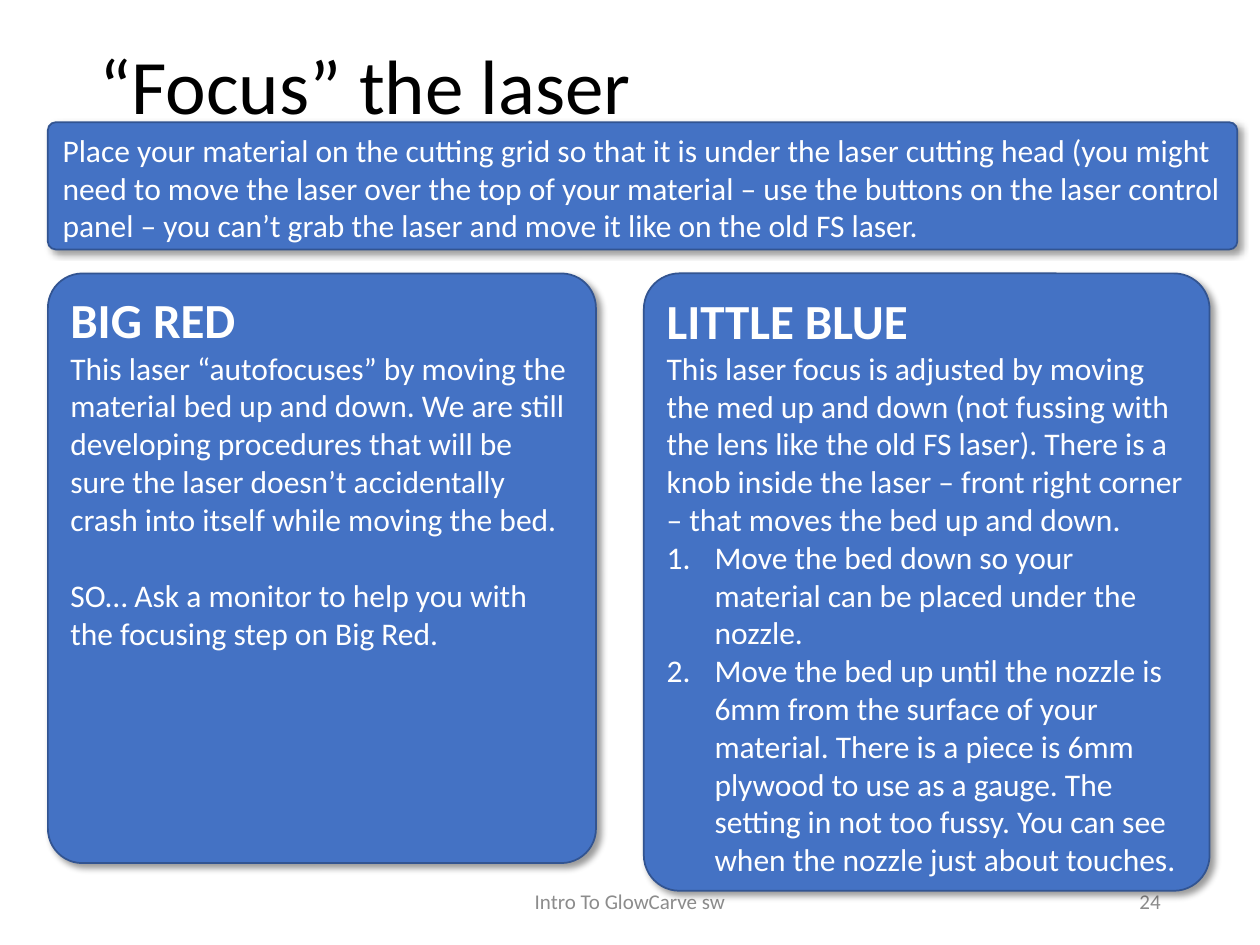
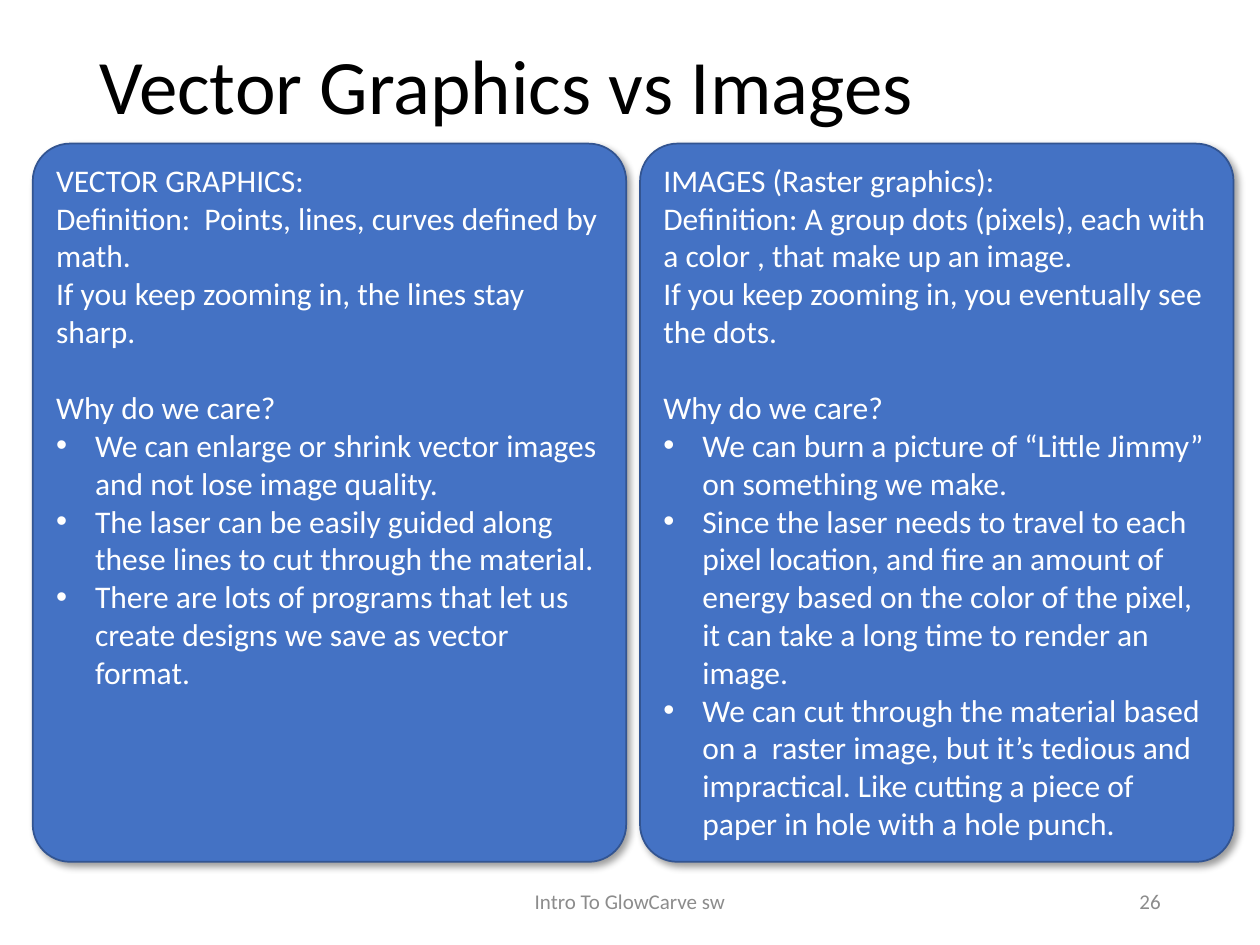
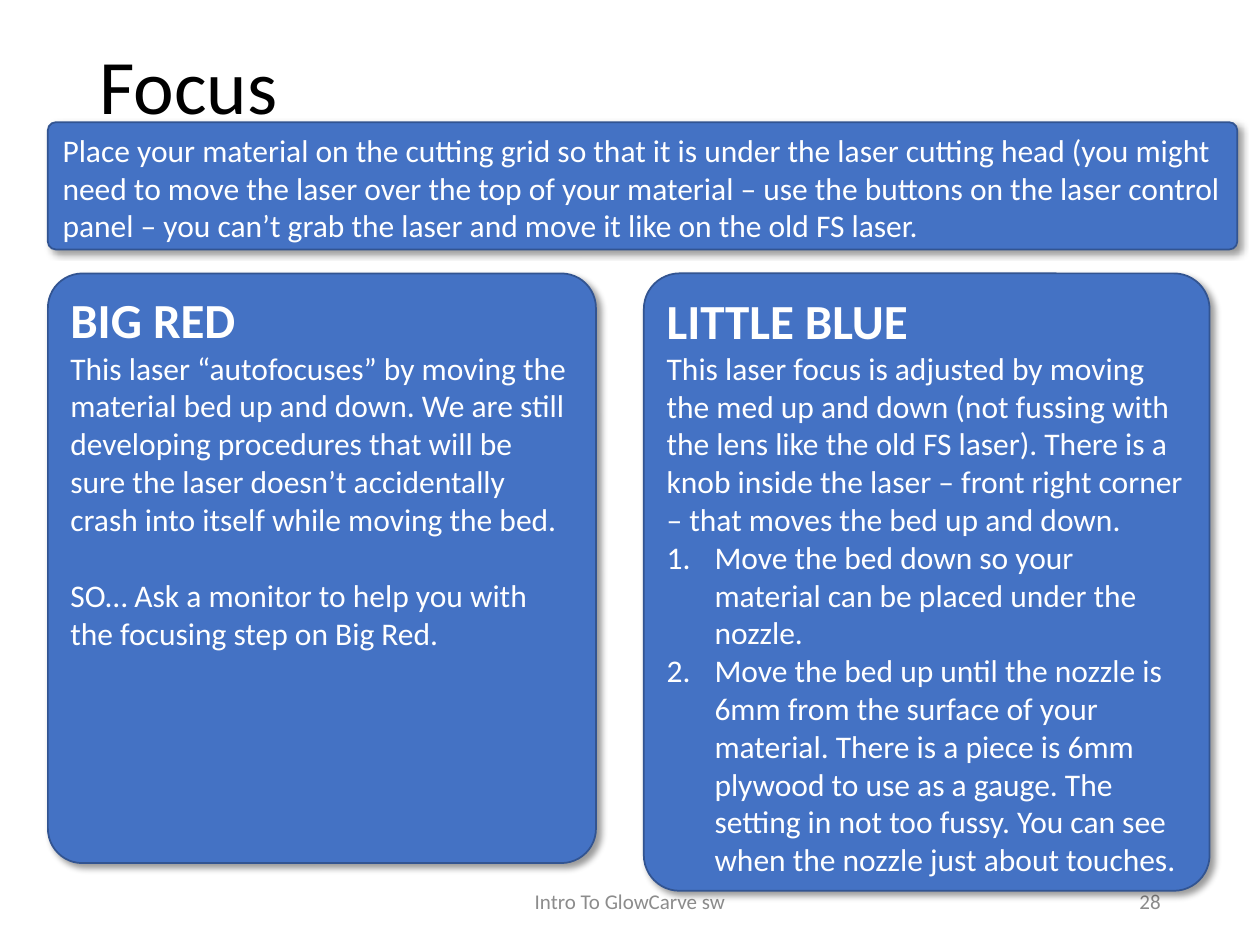
from dataclasses import dataclass

import lxml.etree
import pptx
import pptx.dml.color
import pptx.enum.shapes
import pptx.enum.text
import pptx.oxml.ns
import pptx.presentation
import pptx.shapes.autoshape
import pptx.slide
import pptx.text.text
import pptx.util

Inches = pptx.util.Inches
Pt = pptx.util.Pt
Align = pptx.enum.text.PP_ALIGN
Anchor = pptx.enum.text.MSO_ANCHOR

FONT = "Calibri"
BLACK, WHITE, GREY = "000000", "FFFFFF", "8C8C8C"
CARD_FILL, CARD_LINE = "4472C4", "325491"
BODY_SIZE = 18
BLANK_LINE = 22
CORNER = 0.063
FOOTER = "Intro To GlowCarve sw"


@dataclass(frozen=True)
class Box:
    left: float
    top: float
    width: float
    height: float

    def lengths(self) -> tuple[int, ...]:
        return tuple(Inches(value) for value in (self.left, self.top, self.width, self.height))


@dataclass(frozen=True)
class Marker:
    tag: str
    attribute: str
    value: str
    indent: float


@dataclass(frozen=True)
class Line:
    text: str
    size: int = BODY_SIZE
    bold: bool = False
    marker: Marker | None = None
    space_before: int = 0


@dataclass(frozen=True)
class Card:
    box: Box
    lines: list[Line]


@dataclass(frozen=True)
class Page:
    title: str
    number: int
    cards: list[Card]


TITLE_BOX = Box(0.69, 0.4, 8.62, 0.62)
FOOTER_BOX = Box(3.31, 6.95, 3.38, 0.4)
NUMBER_BOX = Box(7.06, 6.95, 2.25, 0.4)

BULLET = Marker("a:buChar", "char", "•", 0.31)
NUMBERED = Marker("a:buAutoNum", "type", "arabicPeriod", 0.38)


def heading(text: str) -> Line:
    return Line(text, size=28, bold=True)


def after_gap(text: str) -> Line:
    return Line(text, space_before=BLANK_LINE)


def marked(marker: Marker, *texts: str) -> list[Line]:
    return [Line(text, marker=marker) for text in texts]


FOCUS_CARDS = [
    Card(Box(0.38, 2.17, 4.35, 4.68), [
        heading("BIG RED"),
        Line("This laser “autofocuses” by moving the material bed up and down. We are still "
             "developing procedures that will be sure the laser doesn’t accidentally crash into "
             "itself while moving the bed."),
        after_gap("SO… Ask a monitor to help you with the focusing step on Big Red."),
    ]),
    Card(Box(5.11, 2.17, 4.49, 4.9), [
        heading("LITTLE BLUE"),
        Line("This laser focus is adjusted by moving the med up and down (not fussing with the "
             "lens like the old FS laser). There is a knob inside the laser – front right "
             "corner – that moves the bed up and down."),
        *marked(
            NUMBERED,
            "Move the bed down so your material can be placed under the nozzle.",
            "Move the bed up until the nozzle is 6mm from the surface of your material. There "
            "is a piece is 6mm plywood to use as a gauge. The setting in not too fussy. You can "
            "see when the nozzle just about touches.",
        ),
    ]),
    Card(Box(0.38, 0.97, 9.44, 1.01), [
        Line("Place your material on the cutting grid so that it is under the laser cutting head "
             "(you might need to move the laser over the top of your material – use the buttons "
             "on the laser control panel – you can’t grab the laser and move it like on the old "
             "FS laser."),
    ]),
]

GRAPHICS_CARDS = [
    Card(Box(5.08, 1.14, 4.71, 5.7), [
        Line("IMAGES (Raster graphics):"),
        Line("Definition: A group dots (pixels), each with a color , that make up an image."),
        Line("If you keep zooming in, you eventually see the dots."),
        after_gap("Why do we care?"),
        *marked(
            BULLET,
            "We can burn a picture of “Little Jimmy” on something we make.",
            "Since the laser needs to travel to each pixel location, and fire an amount of "
            "energy based on the color of the pixel, it can take a long time to render an image.",
            "We can cut through the material based on a  raster image, but it’s tedious and "
            "impractical. Like cutting a piece of paper in hole with a hole punch.",
        ),
    ]),
    Card(Box(0.26, 1.14, 4.71, 5.7), [
        Line("VECTOR GRAPHICS:"),
        Line("Definition:  Points, lines, curves defined by math."),
        Line("If you keep zooming in, the lines stay sharp."),
        after_gap("Why do we care?"),
        *marked(
            BULLET,
            "We can enlarge or shrink vector images and not lose image quality.",
            "The laser can be easily guided along these lines to cut through the material.",
            "There are lots of programs that let us create designs we save as vector format.",
        ),
    ]),
]

PAGES = [
    Page("“Focus” the laser", 24, FOCUS_CARDS),
    Page("Vector Graphics vs Images", 26, GRAPHICS_CARDS),
    Page("Focus", 28, FOCUS_CARDS),
]


def rgb(color: str) -> pptx.dml.color.RGBColor:
    return pptx.dml.color.RGBColor.from_string(color)


def add_element(parent: lxml.etree._Element, tag: str, **attributes: str) -> lxml.etree._Element:
    return lxml.etree.SubElement(parent, pptx.oxml.ns.qn(tag), attributes)


def style_font(paragraph: pptx.text.text._Paragraph, size: int, color: str,
               bold: bool = False) -> None:
    font = paragraph.font
    font.name = FONT
    font.size = Pt(size)
    font.bold = bold
    font.color.rgb = rgb(color)


def add_label(slide: pptx.slide.Slide, box: Box, text: str, size: int, color: str,
              alignment: Align = Align.LEFT, line_spacing: float = 1.0) -> None:
    frame = slide.shapes.add_textbox(*box.lengths()).text_frame
    frame.word_wrap = True
    frame.vertical_anchor = Anchor.MIDDLE
    paragraph = frame.paragraphs[0]
    paragraph.text = text
    paragraph.alignment = alignment
    paragraph.line_spacing = line_spacing
    style_font(paragraph, size, color)


def add_shadow(shape: pptx.shapes.autoshape.Shape) -> None:
    """Give the shape a soft shadow towards the lower right."""
    shape.shadow.inherit = False
    effects = shape._element.spPr.find(pptx.oxml.ns.qn("a:effectLst"))
    shadow = add_element(effects, "a:outerShdw", blurRad=str(Pt(4)), dist=str(Pt(3)),
                         dir="2700000", algn="tl", rotWithShape="0")
    color = add_element(shadow, "a:srgbClr", val=BLACK)
    add_element(color, "a:alpha", val="40000")


def set_marker(paragraph: pptx.text.text._Paragraph, marker: Marker) -> None:
    """Add a bullet or number with a hanging indent; call before the font is set."""
    properties = paragraph._p.get_or_add_pPr()
    properties.set("marL", str(Inches(marker.indent)))
    properties.set("indent", str(-Inches(marker.indent)))
    add_element(properties, "a:buFont", typeface="Arial" if marker is BULLET else "+mj-lt")
    add_element(properties, marker.tag, **{marker.attribute: marker.value})


def add_card(slide: pptx.slide.Slide, card: Card) -> None:
    shape = slide.shapes.add_shape(
        pptx.enum.shapes.MSO_SHAPE.ROUNDED_RECTANGLE, *card.box.lengths())
    shape.adjustments[0] = CORNER
    shape.fill.solid()
    shape.fill.fore_color.rgb = rgb(CARD_FILL)
    shape.line.color.rgb = rgb(CARD_LINE)
    shape.line.width = Pt(1)
    add_shadow(shape)

    frame = shape.text_frame
    frame.word_wrap = True
    frame.vertical_anchor = Anchor.TOP
    for index, line in enumerate(card.lines):
        paragraph = frame.add_paragraph() if index else frame.paragraphs[0]
        paragraph.text = line.text
        paragraph.alignment = Align.LEFT
        paragraph.space_before = Pt(line.space_before)
        if line.marker:
            set_marker(paragraph, line.marker)
        style_font(paragraph, line.size, WHITE, line.bold)


def add_page(presentation: pptx.presentation.Presentation, page: Page) -> None:
    slide = presentation.slides.add_slide(presentation.slide_layouts[6])
    add_label(slide, TITLE_BOX, page.title, 44, BLACK, line_spacing=0.9)
    add_label(slide, FOOTER_BOX, FOOTER, 12, GREY, Align.CENTER)
    add_label(slide, NUMBER_BOX, str(page.number), 12, GREY, Align.RIGHT)
    for card in page.cards:
        add_card(slide, card)


def main() -> None:
    presentation = pptx.Presentation()
    presentation.slide_width = Inches(10)
    presentation.slide_height = Inches(7.5)
    for page in PAGES:
        add_page(presentation, page)
    presentation.save("out.pptx")


if __name__ == "__main__":
    main()
